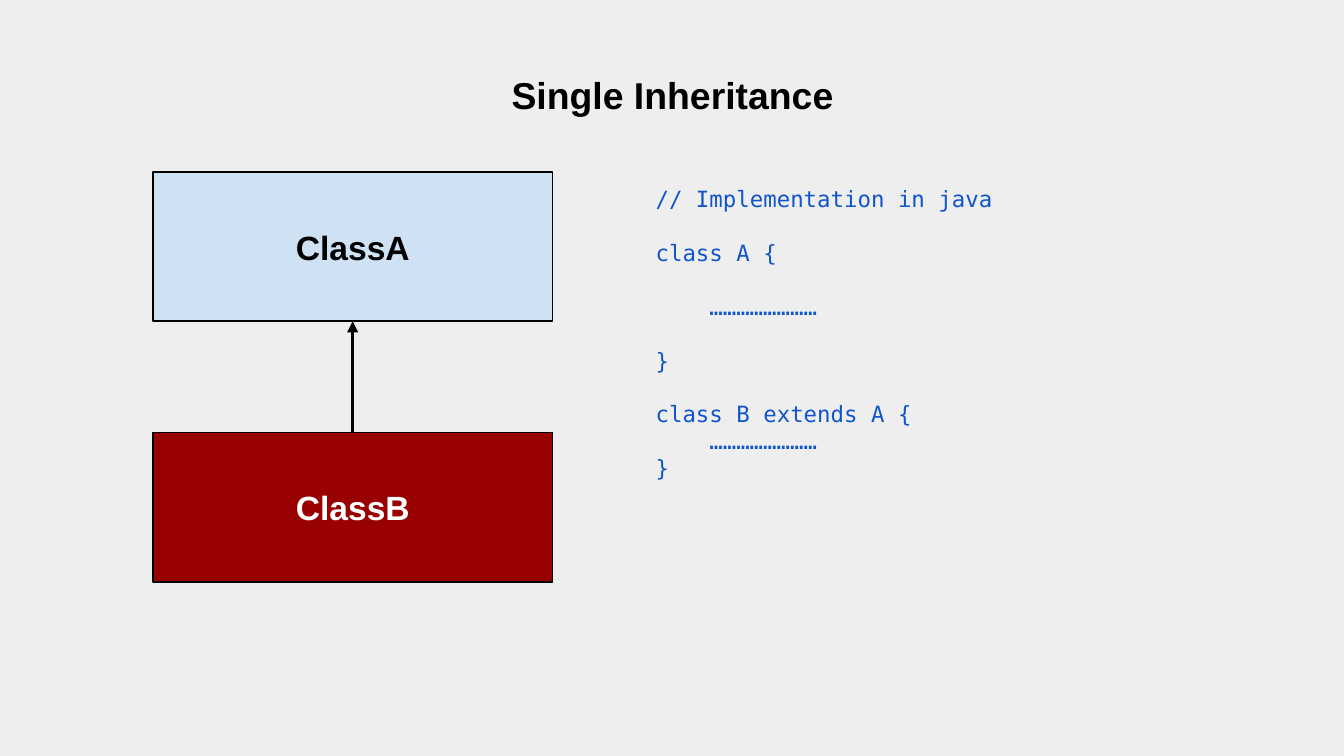
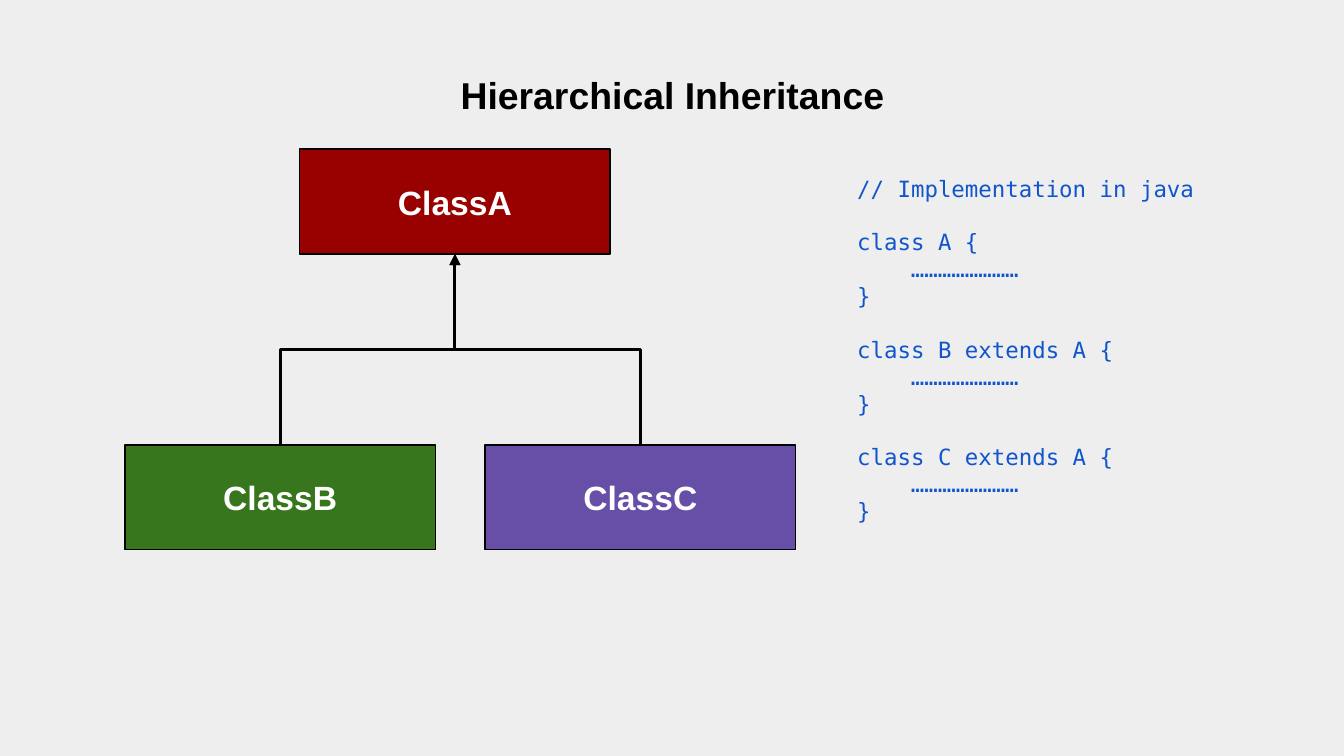
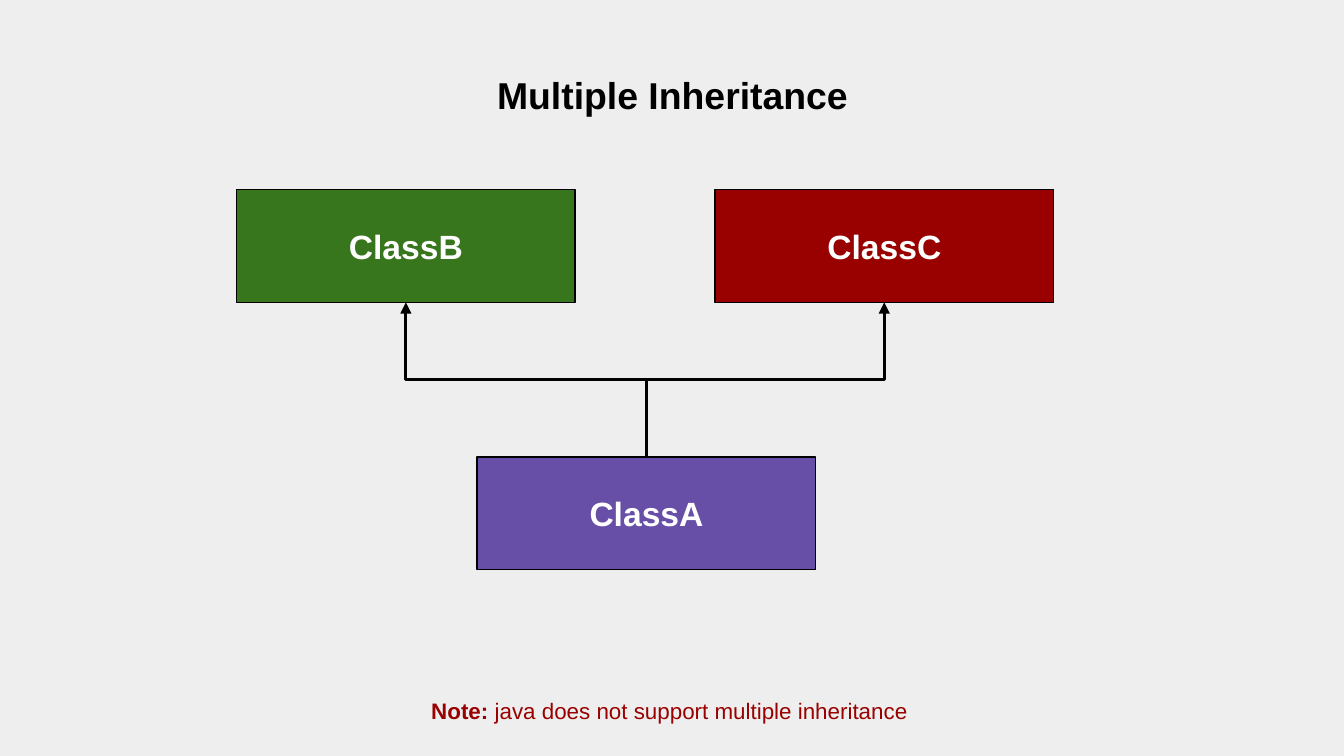
from pptx import Presentation
from pptx.dml.color import RGBColor
from pptx.enum.shapes import MSO_CONNECTOR, MSO_SHAPE
from pptx.enum.text import MSO_ANCHOR, MSO_AUTO_SIZE, PP_ALIGN
from pptx.oxml.ns import qn
from pptx.util import Inches, Pt
from lxml.etree import SubElement

# Shared look
BACKGROUND, BLACK, WHITE = "EEEEEE", "000000", "FFFFFF"
RED, GREEN, PURPLE, PALE_BLUE = "990000", "38761D", "674EA7", "CFE2F3"
CODE_BLUE = "1155CC"
TITLE = dict(name="Arial", size=Pt(20), bold=True, color=BLACK)
LABEL = dict(name="Arial", size=Pt(18), bold=True)
CODE = dict(name="DejaVu Sans Mono", size=Pt(12), color=CODE_BLUE)
NOTE = dict(name="Arial", size=Pt(12), color=RED)
CODE_GAP, CODE_INDENT = Pt(14.4), Inches(0.4)
BODY = "……………………"
SITES = {"top": 0, "bottom": 2}


def rgb(value):
    return RGBColor.from_string(value)


def add_run(p, text, style):
    r = p.add_run()
    r.text = text
    for key, value in style.items():
        if key == "color":
            r.font.color.rgb = rgb(value)
        else:
            setattr(r.font, key, value)


def set_frame(tf, **options):
    margins = dict.fromkeys(
        ("margin_left", "margin_top", "margin_right", "margin_bottom"), Inches(0.1))
    for key, value in {"word_wrap": True, **margins, **options}.items():
        setattr(tf, key, value)


def add_text_box(s, left, top, width, height):
    tf = s.shapes.add_textbox(*map(Inches, (left, top, width, height))).text_frame
    set_frame(tf, auto_size=MSO_AUTO_SIZE.SHAPE_TO_FIT_TEXT)
    return tf


def add_titled_slide(prs, title):
    s = prs.slides.add_slide(prs.slide_layouts[6])
    s.background.fill.solid()
    s.background.fill.fore_color.rgb = rgb(BACKGROUND)
    p = add_text_box(s, 0.32, 0.39, 9.37, 0.54).paragraphs[0]
    layout = dict(alignment=PP_ALIGN.CENTER, line_spacing=1.15,
                  space_before=Pt(12), space_after=Pt(12))
    for key, value in layout.items():
        setattr(p, key, value)
    add_run(p, title, TITLE)
    return s


def add_class_box(s, name, position, size, fill, color=WHITE):
    sp = s.shapes.add_shape(MSO_SHAPE.RECTANGLE, *map(Inches, position + size))
    sp.shadow.inherit = False
    sp.fill.solid()
    sp.fill.fore_color.rgb = rgb(fill)
    sp.line.color.rgb = rgb(BLACK)
    sp.line.width = Pt(0.75)
    set_frame(sp.text_frame, vertical_anchor=MSO_ANCHOR.MIDDLE)
    p = sp.text_frame.paragraphs[0]
    p.alignment = PP_ALIGN.CENTER
    add_run(p, name, {**LABEL, "color": color})
    return sp


def add_extends_arrow(s, child, parent):
    """Elbow arrow from the top of the child to the bottom of the parent."""
    x1, y1 = child.left + child.width // 2, child.top
    x2, y2 = parent.left + parent.width // 2, parent.top + parent.height
    line = s.shapes.add_connector(MSO_CONNECTOR.ELBOW, x1, y1, x2, y2)
    line.begin_connect(child, SITES["top"])
    line.end_connect(parent, SITES["bottom"])

    # The elbow is turned a quarter so that it leaves and arrives vertically
    rise, run = abs(y2 - y1), abs(x2 - x1)
    line.left, line.top = (x1 + x2 - rise) // 2, (y1 + y2 - run) // 2
    line.width, line.height = rise, run
    xfrm = line._element.spPr.find(qn("a:xfrm"))
    for flip in ("flipH", "flipV"):
        xfrm.attrib.pop(flip, None)
    goes_left = x2 < x1
    xfrm.set("rot", str((90 if goes_left else 270) * 60000))
    if goes_left:
        xfrm.set("flipH", "1")

    line.line.color.rgb = rgb(BLACK)
    line.line.width = Pt(1.5)
    SubElement(line.line._get_or_add_ln(), qn("a:tailEnd"), type="triangle")
    SubElement(line._element.spPr, qn("a:effectLst"))


def add_code(s, box, blocks):
    """Code lines in blocks; a gap stands between blocks."""
    tf = add_text_box(s, *box)
    p = tf.paragraphs[0]
    for i, block in enumerate(blocks):
        for j, text in enumerate(block):
            if i or j:
                p = tf.add_paragraph()
            if i and not j:
                p.space_before = CODE_GAP
            if text == BODY:
                p._p.get_or_add_pPr().set("marL", str(CODE_INDENT))
            add_run(p, text, CODE)


def class_code(header):
    return [f"class {header} {{", BODY, "}"]


def single_inheritance(prs):
    s = add_titled_slide(prs, "Single Inheritance")
    size = (2.97, 1.11)
    class_b = add_class_box(s, "ClassB", (1.14, 3.22), size, RED)
    class_a = add_class_box(s, "ClassA", (1.14, 1.28), size, PALE_BLUE, BLACK)
    add_extends_arrow(s, class_b, class_a)
    spaced_class = [[text] for text in class_code("A")]
    add_code(s, (4.78, 1.28, 3.54, 2.42),
             [["// Implementation in java"], *spaced_class, class_code("B extends A")])


def hierarchical_inheritance(prs):
    s = add_titled_slide(prs, "Hierarchical Inheritance")
    size = (2.31, 0.78)
    class_b = add_class_box(s, "ClassB", (0.93, 3.31), size, GREEN)
    class_a = add_class_box(s, "ClassA", (2.23, 1.11), size, RED)
    class_c = add_class_box(s, "ClassC", (3.61, 3.31), size, PURPLE)
    for child in (class_b, class_c):
        add_extends_arrow(s, child, class_a)
    headers = ("A", "B extends A", "C extends A")
    add_code(s, (6.28, 1.2, 3.54, 3.43),
             [["// Implementation in java"], *map(class_code, headers)])


def multiple_inheritance(prs):
    s = add_titled_slide(prs, "Multiple Inheritance")
    p = add_text_box(s, 1.79, 5.06, 6.44, 0.44).paragraphs[0]
    p.alignment = PP_ALIGN.CENTER
    add_run(p, "Note:", {**NOTE, "bold": True})
    add_run(p, " java does not support multiple inheritance", NOTE)
    add_run(p, " ", {**NOTE, "size": Pt(14), "color": BLACK})
    size = (2.52, 0.84)
    class_b = add_class_box(s, "ClassB", (1.76, 1.41), size, GREEN)
    class_a = add_class_box(s, "ClassA", (3.55, 3.4), size, PURPLE)
    class_c = add_class_box(s, "ClassC", (5.32, 1.41), size, RED)
    for parent in (class_b, class_c):
        add_extends_arrow(s, class_a, parent)


def main():
    prs = Presentation()
    prs.slide_width = Inches(10)
    prs.slide_height = prs.slide_width * 9 // 16
    single_inheritance(prs)
    hierarchical_inheritance(prs)
    multiple_inheritance(prs)
    prs.save("out.pptx")


if __name__ == "__main__":
    main()
